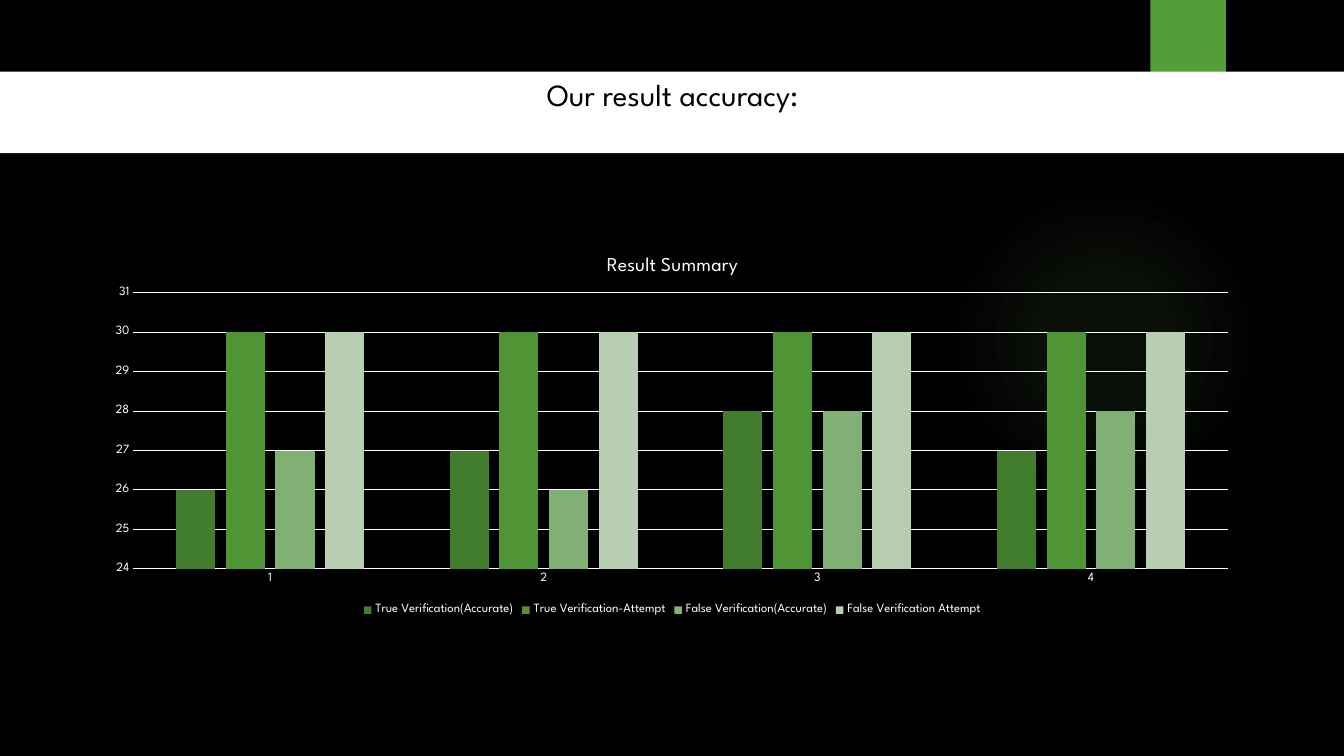
from lxml.etree import SubElement
from pptx import Presentation
from pptx.chart.data import CategoryChartData
from pptx.dml.color import RGBColor
from pptx.enum.chart import XL_CHART_TYPE, XL_LEGEND_POSITION, XL_TICK_MARK
from pptx.enum.shapes import MSO_SHAPE
from pptx.enum.text import MSO_ANCHOR, PP_ALIGN
from pptx.oxml import parse_xml
from pptx.oxml.ns import nsdecls, qn
from pptx.util import Inches, Pt

FONT = "League Spartan"
COLORS = {"black": "000000", "white": "FFFFFF", "accent": "549E39", "glow": "93D07D"}
CATEGORIES = ["1", "2", "3", "4"]
SERIES = [
    ("True Verification(Accurate)", (26, 27, 28, 27), "427D2D"),
    ("True Verification-Attempt", (30, 30, 30, 30), "4F9435"),
    ("False Verification(Accurate)", (27, 26, 28, 28), "81B075"),
    ("False Verification Attempt", (30, 30, 30, 30), "B7CEB2"),
]
GLOW_STOPS = [(0, 7), (36, 6), (69, 0)]
PLOT_LAYOUT = {"x": 0.035, "y": 0.142, "w": 0.944, "h": 0.724}


def rgb(name):
    return RGBColor.from_string(COLORS[name])


def style_font(font, size, color):
    font.name = FONT
    font.size = Pt(size)
    font.bold = False
    font.color.rgb = rgb(color)


def add_block(s, shape, x, y, w, h, color):
    sp = s.shapes.add_shape(shape, Inches(x), Inches(y), Inches(w), Inches(h))
    sp.shadow.inherit = False
    sp.fill.solid()
    sp.fill.fore_color.rgb = rgb(color)
    sp.line.fill.background()
    return sp


def add_glow(s, x, y, size):
    sp = add_block(s, MSO_SHAPE.OVAL, x, y, size, size, "glow")
    stops = "".join(
        f'<a:gs pos="{pos * 1000}"><a:srgbClr val="{COLORS["glow"]}">'
        f'<a:alpha val="{alpha * 1000}"/></a:srgbClr></a:gs>'
        for pos, alpha in GLOW_STOPS
    )
    gradient = parse_xml(
        f'<a:gradFill {nsdecls("a")} rotWithShape="1"><a:gsLst>{stops}</a:gsLst>'
        '<a:path path="circle"><a:fillToRect l="50000" t="50000" r="50000" b="50000"/>'
        '</a:path></a:gradFill>'
    )
    solid = sp.fill._xPr.find(qn("a:solidFill"))
    solid.getparent().replace(solid, gradient)


def add_title(s, text, x, y, w, h):
    tf = s.shapes.add_textbox(Inches(x), Inches(y), Inches(w), Inches(h)).text_frame
    tf.word_wrap = True
    tf.vertical_anchor = MSO_ANCHOR.TOP
    tf.text = text
    p = tf.paragraphs[0]
    p.alignment = PP_ALIGN.CENTER
    p.line_spacing = 0.9
    style_font(p.runs[0].font, 22, "black")


def style_axis(axis):
    axis.major_tick_mark = XL_TICK_MARK.NONE
    axis.minor_tick_mark = XL_TICK_MARK.NONE
    style_font(axis.tick_labels.font, 9, "white")


def style_line(line):
    line.color.rgb = rgb("white")
    line.width = Pt(0.75)


def place_plot(chart):
    area = chart._chartSpace.chart.plotArea
    for old in area.findall(qn("c:layout")):
        area.remove(old)
    layout = parse_xml(f'<c:layout {nsdecls("c")}/>')
    area.insert(0, layout)
    manual = SubElement(layout, qn("c:manualLayout"))
    values = {"layoutTarget": "inner", "xMode": "edge", "yMode": "edge", **PLOT_LAYOUT}
    for tag, value in values.items():
        SubElement(manual, qn(f"c:{tag}")).set("val", str(value))


def add_column_chart(s, title, x, y, w, h):
    data = CategoryChartData()
    data.categories = CATEGORIES
    for name, values, _ in SERIES:
        data.add_series(name, values)
    chart = s.shapes.add_chart(
        XL_CHART_TYPE.COLUMN_CLUSTERED, Inches(x), Inches(y), Inches(w), Inches(h), data
    ).chart
    style_font(chart.font, 10, "white")

    chart.has_title = True
    tf = chart.chart_title.text_frame
    tf.text = title
    style_font(tf.paragraphs[0].runs[0].font, 14, "white")
    chart.chart_title.include_in_layout = False

    chart.has_legend = True
    chart.legend.position = XL_LEGEND_POSITION.BOTTOM
    chart.legend.include_in_layout = False
    style_font(chart.legend.font, 9, "white")

    style_axis(chart.category_axis)
    style_line(chart.category_axis.format.line)
    value_axis = chart.value_axis
    style_axis(value_axis)
    value_axis.format.line.fill.background()
    style_line(value_axis.major_gridlines.format.line)
    value_axis.minimum_scale = 24
    value_axis.maximum_scale = 31
    value_axis.major_unit = 1

    plot = chart.plots[0]
    plot.gap_width = 219
    plot.overlap = -27
    plot.vary_by_categories = False
    for series, (_, _, color) in zip(plot.series, SERIES):
        series.format.fill.solid()
        series.format.fill.fore_color.rgb = RGBColor.from_string(color)
    place_plot(chart)


def main():
    prs = Presentation()
    prs.slide_width = Inches(13.33)
    prs.slide_height = Inches(7.5)
    s = prs.slides.add_slide(prs.slide_layouts[6])
    s.background.fill.solid()
    s.background.fill.fore_color.rgb = rgb("black")

    add_glow(s, 9.41, 1.83, 3.08)
    add_block(s, MSO_SHAPE.RECTANGLE, 11.41, 0, 0.75, 1.25, "accent")
    add_block(s, MSO_SHAPE.RECTANGLE, 0, 0.71, 13.33, 0.81, "white")
    add_title(s, "Our result accuracy:", 0.92, 0.74, 11.5, 0.78)
    add_column_chart(s, "Result Summary", 0.92, 2.37, 11.5, 3.78)
    prs.save("out.pptx")


if __name__ == "__main__":
    main()
